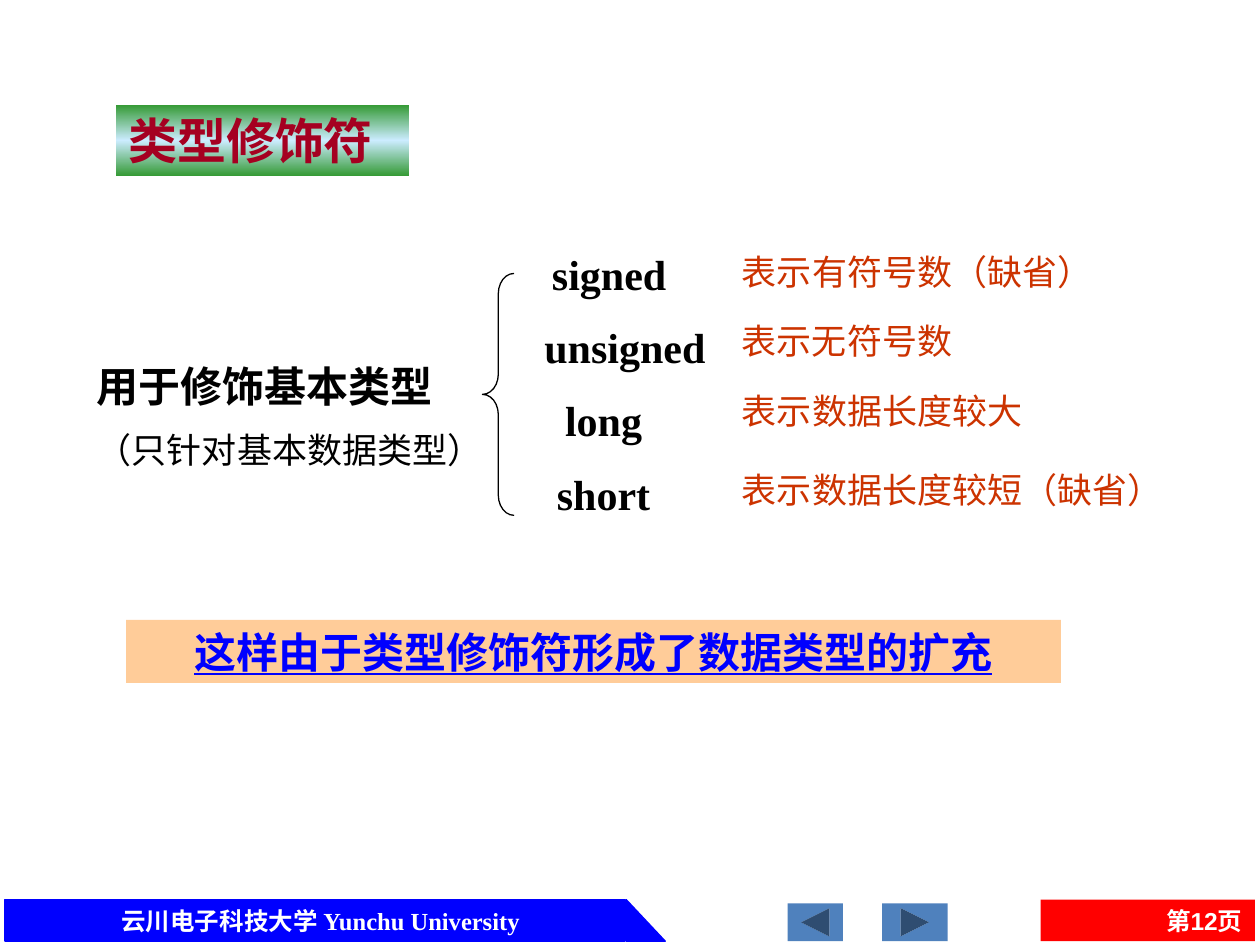
from copy import deepcopy
from typing import NamedTuple, Optional

from pptx import Presentation
from pptx.dml.color import RGBColor
from pptx.enum import shapes, text
from pptx.util import Inches, Pt

BLACK = RGBColor(0x00, 0x00, 0x00)
WHITE = RGBColor(0xFF, 0xFF, 0xFF)
BLUE = RGBColor(0x00, 0x00, 0xFF)
RED = RGBColor(0xFF, 0x00, 0x00)
STEEL = RGBColor(0x4F, 0x81, 0xBD)
GREEN = RGBColor(0x33, 0x99, 0x33)
SKY = RGBColor(0xCC, 0xEC, 0xFF)
WINE = RGBColor(0xA5, 0x00, 0x21)
RUST = RGBColor(0xCC, 0x33, 0x00)
PEACH = RGBColor(0xFF, 0xCC, 0x99)

SERIF, SANS, BODY = "Times New Roman", "Arial", "Karla"
KIND = shapes.MSO_SHAPE
LEFT, MID, RIGHT = text.PP_ALIGN.LEFT, text.PP_ALIGN.CENTER, text.PP_ALIGN.RIGHT
TOP, CENTER = text.MSO_ANCHOR.TOP, text.MSO_ANCHOR.MIDDLE


class Box(NamedTuple):
    left: float
    top: float
    width: float
    height: float


class Term(NamedTuple):
    word: str
    box: Box
    note: str
    top: float
    width: float


TERMS = [
    Term("signed", Box(4, 1.92, 1.67, 0.5), "表示有符号数（缺省）", 1.94, 3.42),
    Term("unsigned", Box(4, 2.5, 1.92, 0.5), "表示无符号数", 2.49, 2.33),
    Term("long", Box(4.25, 3.08, 1.08, 0.5), "表示数据长度较大", 3.04, 2.92),
    Term("short", Box(4.25, 3.67, 1.08, 0.5), "表示数据长度较短（缺省）", 3.67, 3.89),
]


def place(box: Box) -> list:
    return [Inches(n) for n in box]


def draw(slide, kind, box: Box, fill: Optional[RGBColor] = None,
         line: Optional[RGBColor] = None):
    shape = slide.shapes.add_shape(kind, *place(box))
    shape.shadow.inherit = False
    if fill is None:
        shape.fill.background()
    else:
        shape.fill.solid()
        shape.fill.fore_color.rgb = fill
    if line is None:
        shape.line.fill.background()
    else:
        shape.line.color.rgb = line
        shape.line.width = Pt(0.75)
    return shape


def write(shape, words: str, *, size: float, color: RGBColor, font: str = BODY,
          bold: bool = False, under: bool = False, align=LEFT, anchor=TOP,
          more: bool = False, gap: float = 0) -> None:
    """Put one paragraph in a shape; more=True adds it after the others."""
    frame = shape.text_frame
    frame.word_wrap = True
    frame.vertical_anchor = anchor
    para = frame.add_paragraph() if more else frame.paragraphs[0]
    para.alignment = align
    para.space_before = Pt(gap)
    run = para.add_run()
    run.text = words
    run.font.name = font
    run.font.size = Pt(size)
    run.font.bold = bold
    run.font.underline = under
    run.font.color.rgb = color


def label(slide, box: Box, words: str, **style):
    shape = slide.shapes.add_textbox(*place(box))
    write(shape, words, **style)
    return shape


def blend(shape, colors: list) -> None:
    """Fill a shape with evenly spaced colours from top to bottom."""
    shape.fill.gradient()
    shape.fill.gradient_angle = 270
    stops = shape._element.spPr.gradFill.gsLst
    while len(stops) < len(colors):
        stops.append(deepcopy(stops[0]))
    for i, (stop, color) in enumerate(zip(shape.fill.gradient_stops, colors)):
        stop.position = i / (len(colors) - 1)
        stop.color.rgb = color


def footer(slide) -> None:
    draw(slide, KIND.RECTANGLE, Box(0.04, 7.14, 4.92, 0.33), BLUE, BLUE)
    draw(slide, KIND.RIGHT_TRIANGLE, Box(4.97, 7.14, 0.31, 0.33), BLUE, BLUE)
    label(slide, Box(0.33, 7.14, 4.43, 0.33), "云川电子科技大学 Yunchu University",
          size=14, color=WHITE, font=SERIF, bold=True, align=MID)
    page = draw(slide, KIND.RECTANGLE, Box(8.26, 7.14, 1.7, 0.33), RED)
    write(page, "第12页", size=14, color=WHITE, font=SANS, bold=True,
          align=RIGHT, anchor=CENTER)
    draw(slide, KIND.ACTION_BUTTON_FORWARD_OR_NEXT, Box(7, 7.17, 0.52, 0.3), STEEL)
    back = draw(slide, KIND.ACTION_BUTTON_FORWARD_OR_NEXT,
                Box(6.25, 7.17, 0.44, 0.3), STEEL)
    back.rotation = 180


def main() -> None:
    deck = Presentation()
    deck.slide_width, deck.slide_height = Inches(10), Inches(7.5)
    slide = deck.slides.add_slide(deck.slide_layouts[6])
    footer(slide)

    title = draw(slide, KIND.RECTANGLE, Box(0.92, 0.83, 2.33, 0.57))
    blend(title, [GREEN, SKY, GREEN])
    write(title, "类型修饰符", size=28, color=WINE, font=SERIF, bold=True)

    scope = label(slide, Box(0.67, 2.81, 3.41, 1), "用于修饰基本类型",
                  size=24, color=BLACK, bold=True)
    write(scope, "（只针对基本数据类型）", size=20, color=BLACK, more=True, gap=10)
    brace = draw(slide, KIND.LEFT_BRACE, Box(3.83, 2.17, 0.25, 1.92), line=BLACK)
    brace.adjustments[0] = 0.64

    for term in TERMS:
        label(slide, term.box, term.word, size=24, color=BLACK, font=SERIF,
              bold=True, align=MID)
        label(slide, Box(5.79, term.top, term.width, 0.43), term.note,
              size=20, color=RUST)

    result = draw(slide, KIND.RECTANGLE, Box(1, 4.92, 7.42, 0.5), PEACH)
    write(result, "这样由于类型修饰符形成了数据类型的扩充", size=24, color=BLUE,
          bold=True, under=True, align=MID)
    deck.save("out.pptx")


if __name__ == "__main__":
    main()
